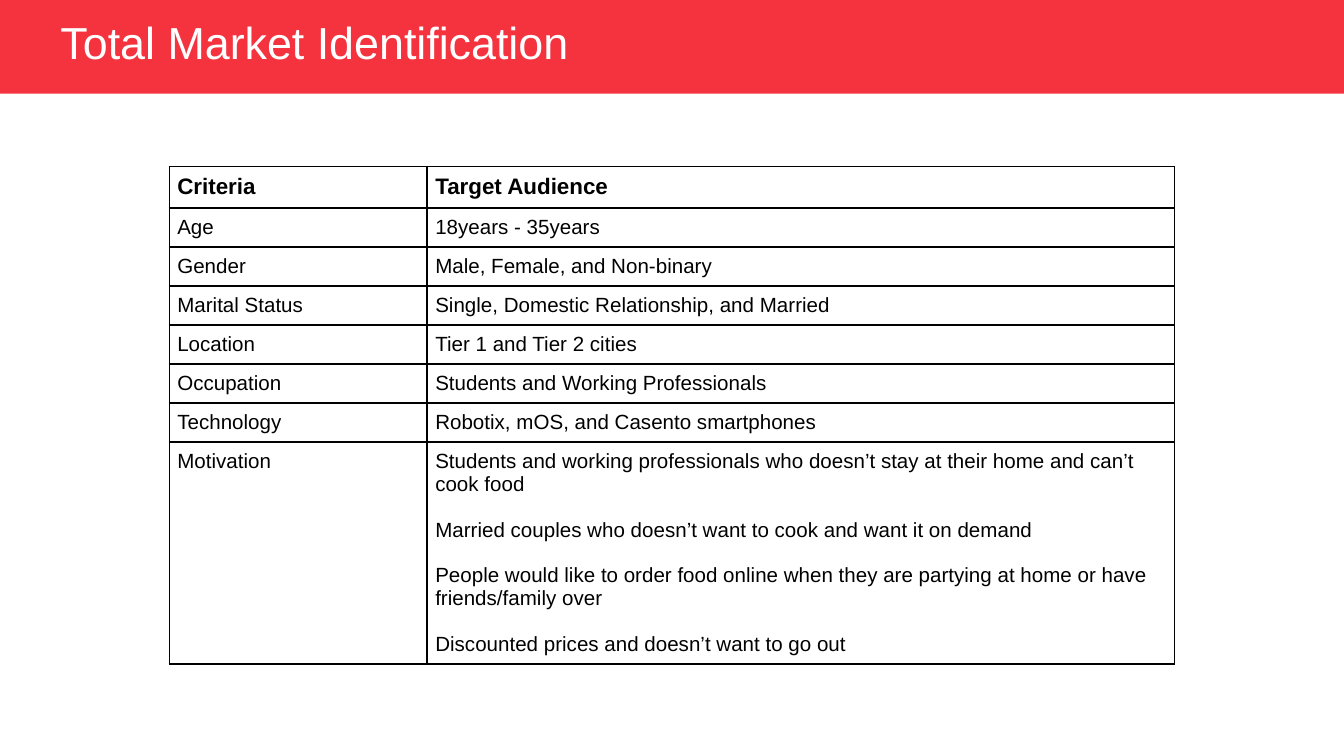
from typing import NamedTuple

from pptx import Presentation
from pptx.dml.color import RGBColor
from pptx.enum.shapes import MSO_SHAPE
from pptx.enum.text import MSO_ANCHOR, PP_ALIGN
from pptx.oxml import parse_xml
from pptx.oxml.ns import nsdecls
from pptx.util import Pt

FONT = "Arial"
RED, WHITE, BLACK = "F5333F", "FFFFFF", "000000"
CELL_MARGIN = Pt(4.3)
PARAGRAPH_GAP = Pt(12.3)


class Criterion(NamedTuple):
    name: str
    audience: list[str]
    height: float = 20.9
    size: float = 11
    bold: bool = False


CRITERIA = [
    Criterion("Criteria", ["Target Audience"], height=22.3, size=12, bold=True),
    Criterion("Age", ["18years - 35years"]),
    Criterion("Gender", ["Male, Female, and Non-binary"]),
    Criterion("Marital Status", ["Single, Domestic Relationship, and Married"]),
    Criterion("Location", ["Tier 1 and Tier 2 cities"]),
    Criterion("Occupation", ["Students and Working Professionals"]),
    Criterion("Technology", ["Robotix, mOS, and Casento smartphones"]),
    Criterion("Motivation", [
        "Students and working professionals who doesn’t stay at their home and can’t cook food",
        "Married couples who doesn’t want to cook and want it on demand",
        "People would like to order food online when they are partying at home "
        "or have friends/family over",
        "Discounted prices and doesn’t want to go out",
    ], height=118.8),
]
COLUMN_WIDTHS = [138.2, 400.4]


def color(value: str) -> RGBColor:
    return RGBColor.from_string(value)


def set_font(paragraph, size: float, value: str, bold: bool = False) -> None:
    font = paragraph.font
    font.name, font.size, font.bold = FONT, Pt(size), bold
    font.color.rgb = color(value)


def add_borders(cell, value: str, width: int) -> None:
    properties = cell._tc.get_or_add_tcPr()
    for side in ("lnL", "lnR", "lnT", "lnB"):
        properties.append(parse_xml(
            f'<a:{side} {nsdecls("a")} w="{width}"><a:solidFill>'
            f'<a:srgbClr val="{value}"/></a:solidFill></a:{side}>'))


def fill_cell(cell, lines: list[str], criterion: Criterion) -> None:
    cell.margin_left = cell.margin_right = CELL_MARGIN
    cell.margin_top = cell.margin_bottom = CELL_MARGIN
    add_borders(cell, BLACK, Pt(1))
    cell.fill.background()
    cell.text = "\n".join(lines)
    for index, paragraph in enumerate(cell.text_frame.paragraphs):
        set_font(paragraph, criterion.size, BLACK, criterion.bold)
        if index:
            paragraph.space_before = PARAGRAPH_GAP


def add_title(slide, text: str) -> None:
    """Fill the title placeholder and lay a red band behind it."""
    title = slide.shapes.title
    title.left, title.top, title.width, title.height = Pt(25.2), Pt(9), Pt(325), Pt(30)
    frame = title.text_frame
    frame.text = text
    frame.vertical_anchor = MSO_ANCHOR.MIDDLE
    frame.word_wrap = False
    frame.margin_left = frame.margin_right = Pt(7.2)
    frame.margin_top = frame.margin_bottom = Pt(3.6)
    paragraph = frame.paragraphs[0]
    paragraph.alignment = PP_ALIGN.LEFT
    paragraph.line_spacing = 0.9
    set_font(paragraph, 24, WHITE)

    band = slide.shapes.add_shape(MSO_SHAPE.RECTANGLE, 0, 0, Pt(720), Pt(50.2))
    band.shadow.inherit = False
    band.fill.solid()
    band.fill.fore_color.rgb = color(RED)
    band.line.fill.background()
    title.element.addprevious(band.element)


def add_criteria_table(slide, criteria: list[Criterion]) -> None:
    table = slide.shapes.add_table(
        len(criteria), len(COLUMN_WIDTHS), Pt(90.7), Pt(89.1),
        Pt(sum(COLUMN_WIDTHS)), Pt(sum(item.height for item in criteria))).table
    table.first_row = table.horz_banding = False
    for column, width in zip(table.columns, COLUMN_WIDTHS):
        column.width = Pt(width)
    for row, criterion in zip(table.rows, criteria):
        row.height = Pt(criterion.height)
        fill_cell(row.cells[0], [criterion.name], criterion)
        fill_cell(row.cells[1], criterion.audience, criterion)


def main() -> None:
    presentation = Presentation()
    presentation.slide_width, presentation.slide_height = Pt(720), Pt(405)
    slide = presentation.slides.add_slide(presentation.slide_layouts[5])
    add_title(slide, "Total Market Identification")
    add_criteria_table(slide, CRITERIA)
    presentation.save("out.pptx")


if __name__ == "__main__":
    main()
